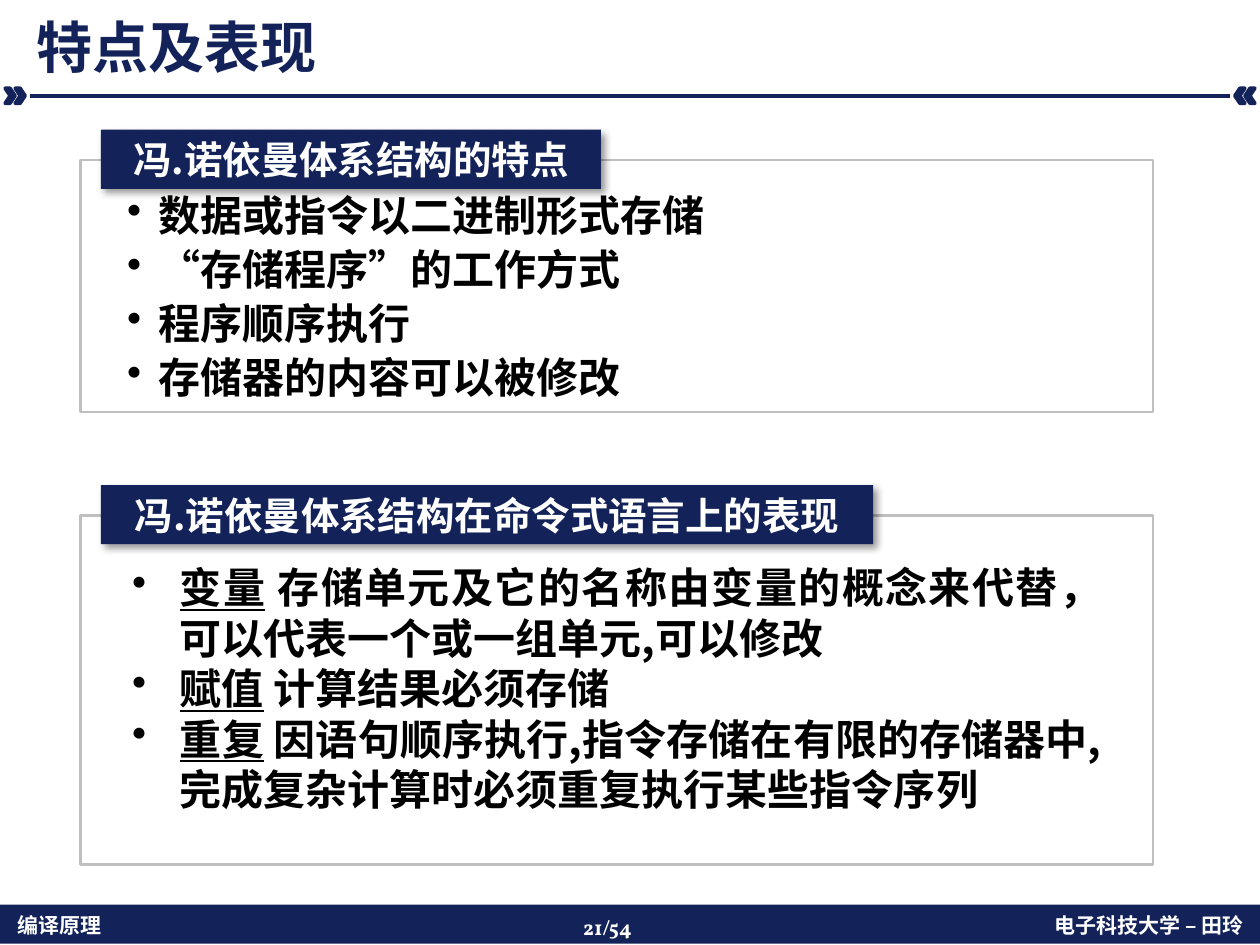
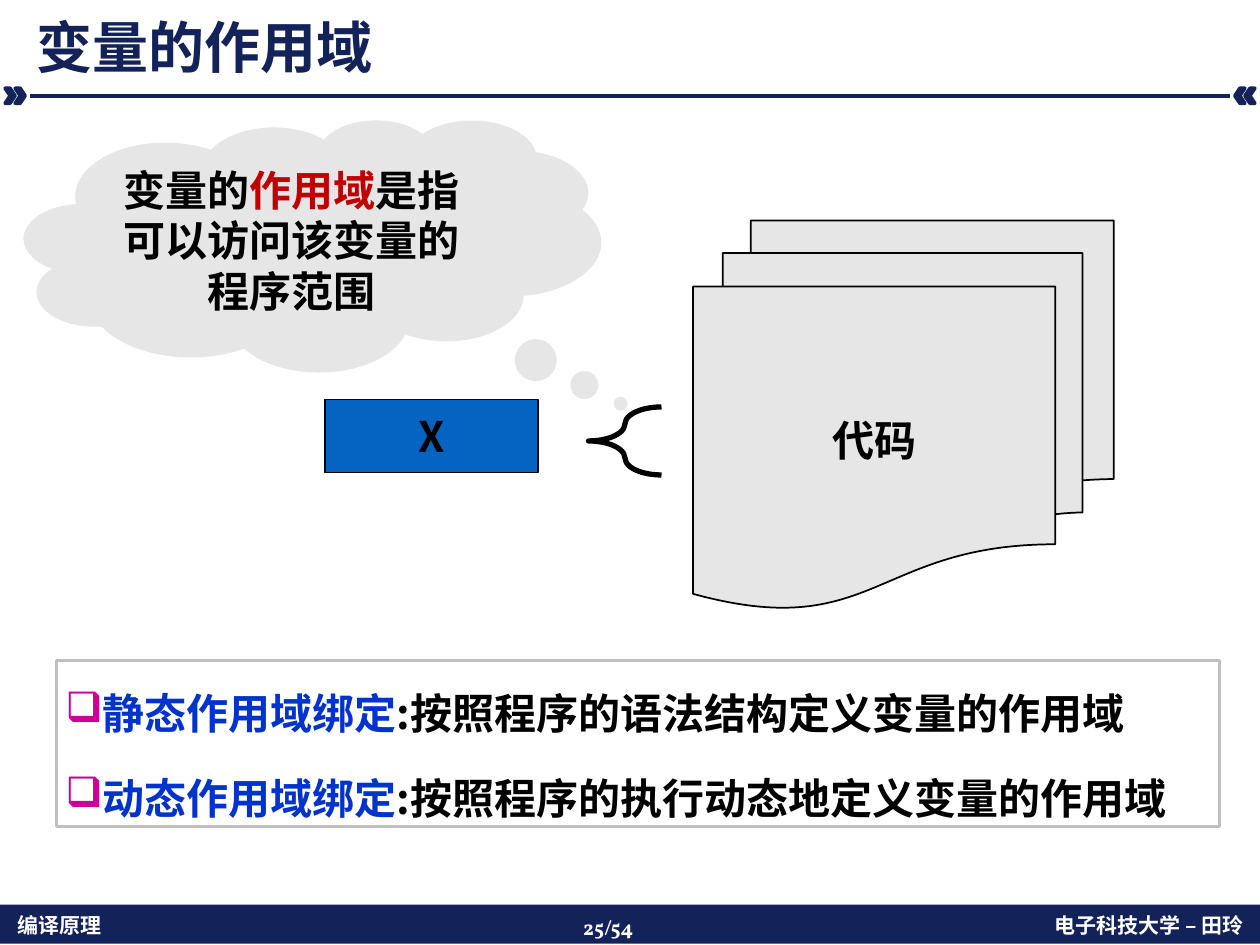
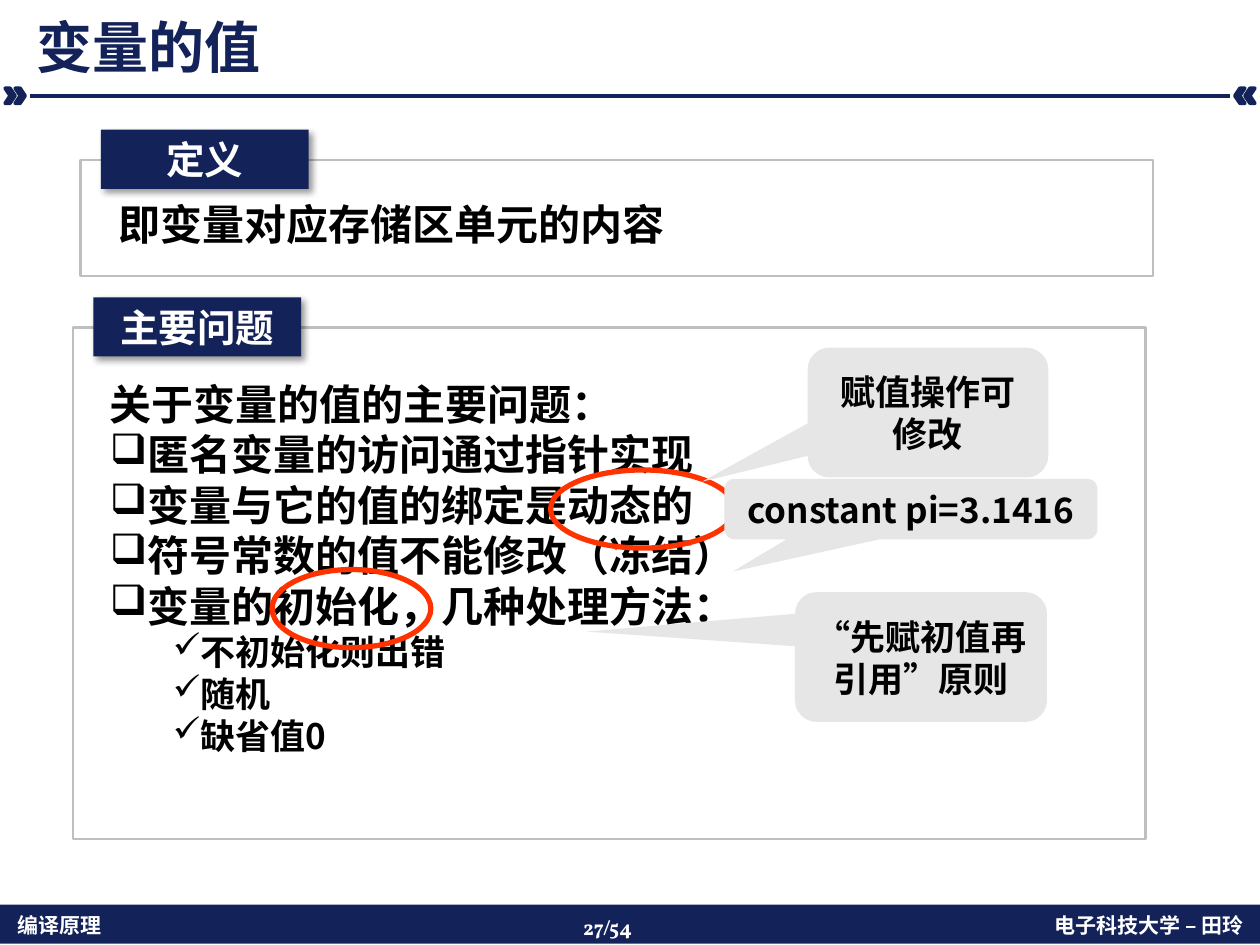
import lxml.etree
import pptx
import pptx.dml.color
import pptx.enum.shapes
import pptx.enum.text
import pptx.oxml.ns
import pptx.util

COLS, ROWS = 100, 75
WIDE, HIGH = pptx.util.Inches(10), pptx.util.Inches(7.5)
INK = {
    "navy": "132259", "white": "FFFFFF", "black": "000000",
    "edge": "BFBFBF", "gray": "E7E6E6", "blue": "0563C1",
    "term": "0033CC", "red": "C00000", "ring": "FF3300", "pink": "CC0099",
}
SANS, SERIF = "Noto Sans CJK SC", "Vollkorn"
KIND = pptx.enum.shapes.MSO_SHAPE
ALIGN = pptx.enum.text.PP_ALIGN
ANCHOR = pptx.enum.text.MSO_ANCHOR


def tone(name):
    return pptx.dml.color.RGBColor.from_string(INK[name])


def node(parent, tag, **attrs):
    return lxml.etree.SubElement(parent, pptx.oxml.ns.qn(tag), attrs)


def place(box):
    x, y, w, h = box
    return [int(v) for v in (x * WIDE / COLS, y * HIGH / ROWS,
                             w * WIDE / COLS, h * HIGH / ROWS)]


def inner(box, dx, dy, w, h):
    return box[0] + dx, box[1] + dy, w, h


def form(slide, kind, box, fill=None, line=None, width=1, adjust=()):
    shape = slide.shapes.add_shape(kind, *place(box))
    shape.shadow.inherit = False
    for spot, value in enumerate(adjust):
        shape.adjustments[spot] = value
    if fill:
        shape.fill.solid()
        shape.fill.fore_color.rgb = tone(fill)
    else:
        shape.fill.background()
    if line:
        shape.line.color.rgb = tone(line)
        shape.line.width = pptx.util.Pt(width)
    else:
        shape.line.fill.background()
    return shape


def bullet(para, mark, left, hang, color):
    props = para._p.get_or_add_pPr()
    props.set("marL", str(pptx.util.Inches(left)))
    props.set("indent", str(pptx.util.Inches(hang)))
    if mark:
        node(node(props, "a:buClr"), "a:srgbClr", val=INK[color])
        node(props, "a:buChar", char=mark)


def write(shape, lines, size, color="black", font=SANS, align=ALIGN.LEFT,
          anchor=ANCHOR.MIDDLE, space=None, gap=0, mark=None, left=0,
          hang=0, dot="black"):
    frame = shape.text_frame
    frame.word_wrap = True
    frame.vertical_anchor = anchor
    for spot, line in enumerate(lines):
        para = frame.add_paragraph() if spot else frame.paragraphs[0]
        bullet(para, mark, left, hang, dot)
        para.alignment = align
        if space:
            para.line_spacing = space
        if gap and spot:
            para.space_before = pptx.util.Pt(gap)
        pieces = [(line, {})] if isinstance(line, str) else line
        for text, style in pieces:
            run = para.add_run()
            run.text = text
            run.font.size = pptx.util.Pt(size)
            run.font.bold = True
            run.font.name = font
            run.font.color.rgb = tone(style.get("color", color))
            if style.get("under"):
                run.font.underline = True
            node(run._r.get_or_add_rPr(), "a:ea", typeface=SANS)
    return frame


def label(slide, box, lines, size, **look):
    look.setdefault("anchor", ANCHOR.TOP)
    area = slide.shapes.add_textbox(*place(box))
    return write(area, lines, size, **look)


def footer(slide, box, page):
    form(slide, KIND.RECTANGLE, box, "navy")
    label(slide, inner(box, 0.4, 0.1, 29.4, 3), ["编译原理"], 12, color="white")
    label(slide, inner(box, 69.8, 0.1, 29.9, 3), ["电子科技大学 – 田玲"], 12,
          color="white", align=ALIGN.RIGHT)
    label(slide, inner(box, 45.3, 0.3, 9.4, 3), [f"{page}/54"], 12,
          color="white", font=SERIF)


def header(slide, box, title):
    for dx, turn in ((0.4, 0), (1.2, 0), (98.8, 180), (98, 180)):
        arrow = form(slide, KIND.CHEVRON, inner(box, dx, 7, 0.8, 1.2),
                     "navy", "navy", 2)
        arrow.rotation = turn
    x, y, w, h = place(inner(box, 2.4, 7.6, 95.2, 0))
    rule = slide.shapes.add_connector(
        pptx.enum.shapes.MSO_CONNECTOR.STRAIGHT, x, y, x + w, y)
    rule.line.color.rgb = tone("navy")
    rule.line.width = pptx.util.Pt(2)
    node(rule._element.spPr, "a:effectLst")
    label(slide, inner(box, 1.9, 0.5, 96.1, 6.4), [title], 32, color="navy",
          font=SERIF, anchor=ANCHOR.BOTTOM, space=0.9)


def border(slide, box):
    form(slide, KIND.RECTANGLE, box, line="edge", width=1.5)


def panel(slide, box, name, width):
    border(slide, box)
    tab = form(slide, KIND.RECTANGLE, inner(box, 1.6, -2.4, width, 4.7), "navy")
    effect = tab._element.spPr.find(pptx.oxml.ns.qn("a:effectLst"))
    cast = node(effect, "a:outerShdw", blurRad="50800", dist="38100",
                dir="2700000", algn="tl", rotWithShape="0")
    node(node(cast, "a:srgbClr", val=INK["black"]), "a:alpha", val="40000")
    write(tab, [name], 22, color="white", align=ALIGN.CENTER)


def traits(slide, box):
    label(slide, inner(box, -7.3, 2.3, 70.2, 16.8), [
        "数据或指令以二进制形式存储",
        "“存储程序”的工作方式",
        "程序顺序执行",
        "存储器的内容可以被修改",
    ], 24, align=ALIGN.JUSTIFY, space=0.9, gap=5, mark="•", left=1.25, hang=-0.25)
    panel(slide, box, "冯.诺依曼体系结构的特点", 39.7)


def effects(slide, box):
    panel(slide, box, "冯.诺依曼体系结构在命令式语言上的表现", 61.3)
    items = (
        ("变量", " 存储单元及它的名称由变量的概念来代替，可以代表一个或一组单元,可以修改"),
        ("赋值", " 计算结果必须存储"),
        ("重复", " 因语句顺序执行,指令存储在有限的存储器中,完成复杂计算时必须重复执行某些指令序列"),
    )
    label(slide, inner(box, -6.9, 3.2, 88.9, 21.2),
          [[(term, {"under": True}), (rest, {})] for term, rest in items],
          24, align=ALIGN.JUSTIFY, mark="•", left=1.38, hang=-0.38)


def scene(slide, box):
    cell = form(slide, KIND.RECTANGLE, inner(box, 23.9, 22.2, 16.9, 5.8),
                "blue", "black")
    write(cell, ["X"], 24, align=ALIGN.CENTER)
    form(slide, KIND.LEFT_BRACE, inner(box, 44.8, 22.8, 5.8, 5.4),
         line="black", width=3, adjust=(0.31, 0.5))
    code = form(slide, KIND.FLOWCHART_MULTIDOCUMENT,
                inner(box, 53.1, 8, 33.4, 30.8), "gray", "black")
    write(code, ["代码"], 24, align=ALIGN.CENTER)
    cloud = form(slide, KIND.CLOUD_CALLOUT, inner(box, 0, 0, 45.8, 20),
                 "gray", adjust=(0.534, 0.627))
    write(cloud, [[("变量的", {}), ("作用域", {"color": "red"}),
                   ("是指可以访问该变量的程序范围", {})]],
          24, align=ALIGN.CENTER)


def scopes(slide, box):
    items = (
        ("静态作用域绑定", ":按照程序的语法结构定义变量的作用域"),
        ("动态作用域绑定", ":按照程序的执行动态地定义变量的作用域"),
    )
    label(slide, inner(box, -4.5, -0.3, 96.8, 15),
          [[(term, {"color": "term"}), (rest, {})] for term, rest in items],
          24, align=ALIGN.JUSTIFY, space=1.5, gap=5, mark="❑", left=0.42,
          dot="pink")
    border(slide, box)


def meaning(slide, box):
    body = form(slide, KIND.ROUNDED_RECTANGLE, inner(box, 1.6, 1, 71.7, 8.1))
    write(body, ["即变量对应存储区单元的内容"], 24)
    panel(slide, box, "定义", 16.5)


def ring(slide, box):
    form(slide, KIND.OVAL, box, line="ring", width=3)


def issues(slide, box):
    body = form(slide, KIND.ROUNDED_RECTANGLE, inner(box, 0, 0.7, 71.7, 40))
    heads = ["关于变量的值的主要问题：", "匿名变量的访问通过指针实现",
             "变量与它的值的绑定是动态的", "符号常数的值不能修改（冻结）",
             "变量的初始化，几种处理方法："]
    ways = ["不初始化则出错", "随机", "缺省值0"]
    frame = write(body, heads + ways, 24)
    frame.margin_bottom = pptx.util.Inches(0.38)
    paras = frame.paragraphs
    for para in paras[1:len(heads)]:
        bullet(para, "❑", 0, 0, "black")
    for para in paras[len(heads):]:
        bullet(para, "✓", 0.5, 0, "black")
        para.runs[0].font.size = pptx.util.Pt(20)
    ring(slide, inner(box, 37.9, 11.3, 14.6, 6.2))
    notes = (
        ((58.3, 1.6, 19.1, 10.3), (-0.938, 0.532), "赋值操作可修改"),
        ((51.7, 12, 29.6, 4.8), (-0.477, 1.033), "constant pi=3.1416"),
        ((57.3, 21, 20, 10.3), (-1.328, -0.196), "“先赋初值再引用”原则"),
    )
    for spot, tip, text in notes:
        note = form(slide, KIND.ROUNDED_RECTANGULAR_CALLOUT, inner(box, *spot),
                    "gray", adjust=(*tip, 0.167))
        write(note, [text], 20, align=ALIGN.CENTER)
    ring(slide, inner(box, 15.8, 19.2, 12.6, 6.2))
    panel(slide, box, "主要问题", 16.5)


def main():
    deck = pptx.Presentation()
    deck.slide_width, deck.slide_height = WIDE, HIGH
    pages = (
        (21, "特点及表现", ((traits, (6.4, 12.7, 85.1, 20)),
                       (effects, (6.4, 40.9, 85.1, 27.7)))),
        (25, "变量的作用域", ((scene, (1.9, 9.5, 86.5, 38.8)),
                        (scopes, (4.5, 52.4, 92.3, 13.2)))),
        (27, "变量的值", ((meaning, (6.4, 12.7, 85.1, 9.2)),
                      (issues, (5.8, 26, 85.1, 40.6)))),
    )
    for page, title, parts in pages:
        slide = deck.slides.add_slide(deck.slide_layouts[6])
        footer(slide, (0, 71.8, COLS, 3.1), page)
        header(slide, (0, 0, COLS, 8.2), title)
        for draw, box in parts:
            draw(slide, box)
    deck.save("out.pptx")


if __name__ == "__main__":
    main()
